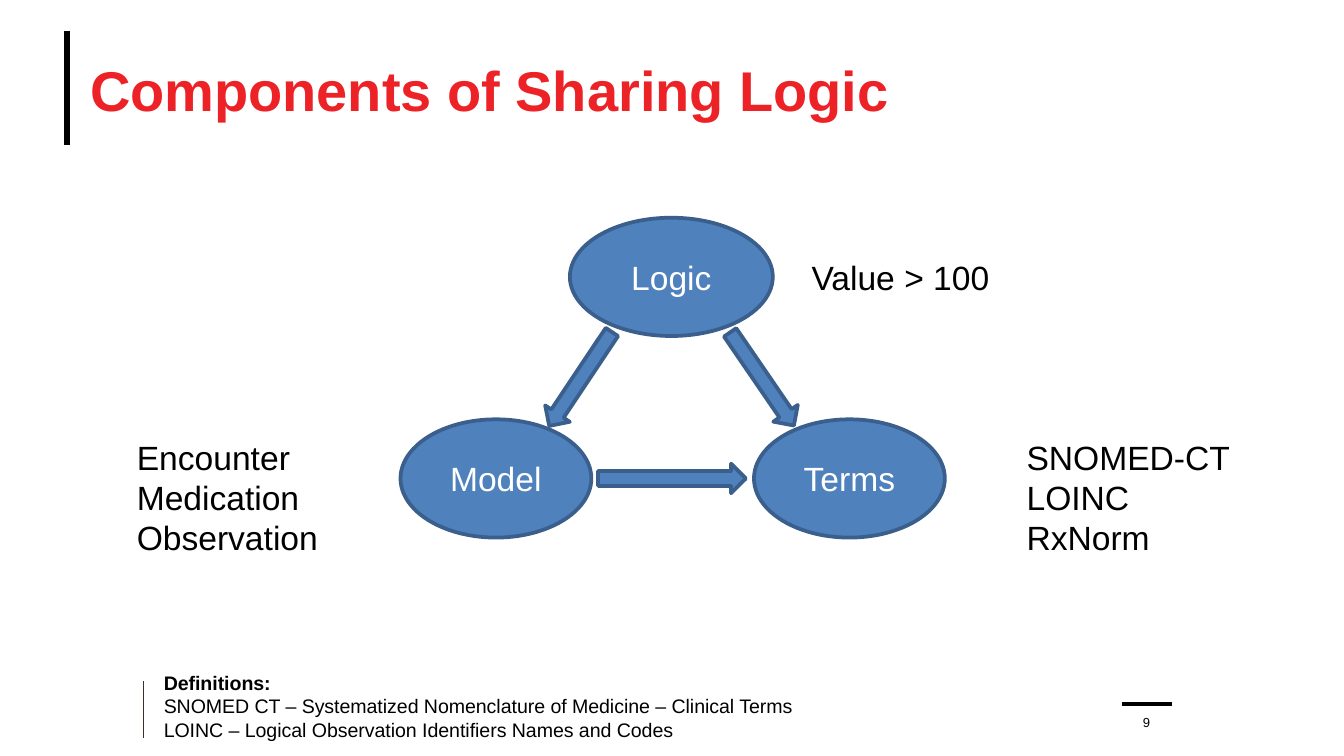
import pptx
import pptx.dml.color
import pptx.enum.shapes
import pptx.enum.text
import pptx.oxml.ns
import pptx.util
from lxml import etree
from pptx.util import Inches

FONT = "Arial"
BLACK, RED, WHITE = "000000", "EC2227", "FFFFFF"
BLUE, DARK_BLUE, BROWN = "4F81BD", "3A5F8C", "3D3029"
SHAPES = pptx.enum.shapes.MSO_SHAPE
ANCHOR = pptx.enum.text.MSO_ANCHOR
ALIGN = pptx.enum.text.PP_ALIGN


def color(value):
    return pptx.dml.color.RGBColor.from_string(value)


def write(shape, lines, size, font_color=BLACK, align=ALIGN.LEFT,
          anchor=ANCHOR.TOP, margin=None, wrap=True, bold_lines=0):
    """Fill a shape with paragraphs; the first bold_lines of them are bold."""
    frame = shape.text_frame
    frame.text = "\n".join(lines)
    frame.word_wrap = wrap
    frame.vertical_anchor = anchor
    if margin is not None:
        frame.margin_left = frame.margin_right = Inches(margin)
        frame.margin_top = frame.margin_bottom = Inches(margin)
    for index, paragraph in enumerate(frame.paragraphs):
        paragraph.alignment = align
        for run in paragraph.runs:
            run.font.name = FONT
            run.font.size = pptx.util.Pt(size)
            run.font.bold = index < bold_lines
            run.font.color.rgb = color(font_color)


def add_text(slide, box, lines, size, **options):
    shape = slide.shapes.add_textbox(*map(Inches, box))
    write(shape, lines, size, **options)


def add_rule(slide, start, end, line_color, width):
    rule = slide.shapes.add_connector(
        pptx.enum.shapes.MSO_CONNECTOR.STRAIGHT, *map(Inches, start + end))
    rule.line.color.rgb = color(line_color)
    rule.line.width = pptx.util.Pt(width)
    properties = rule._element.spPr
    etree.SubElement(properties, pptx.oxml.ns.qn("a:effectLst"))


def add_blue_shape(slide, kind, box, rotation=0):
    shape = slide.shapes.add_shape(kind, *map(Inches, box))
    shape.shadow.inherit = False
    shape.rotation = rotation
    shape.fill.solid()
    shape.fill.fore_color.rgb = color(BLUE)
    shape.line.color.rgb = color(DARK_BLUE)
    shape.line.width = pptx.util.Pt(2)
    return shape


def add_title(slide, left, top, width, height):
    add_rule(slide, (left, top), (left, top + height - 0.01), BLACK, 3.25)
    title = slide.shapes.title
    title.left, title.top = Inches(left + 0.17), Inches(top)
    title.width, title.height = Inches(width), Inches(height)
    write(title, ["Components of Sharing Logic"], 30, font_color=RED,
          anchor=ANCHOR.MIDDLE, margin=0, bold_lines=1)


def add_diagram(slide, left, top):
    """Triangle of ellipses joined by block arrows."""
    ellipses = [("Logic", 1.26, 0, 1.51),
                ("Model", 0, 1.5, 1.42),
                ("Terms", 2.63, 1.5, 1.42)]
    for label, x, y, width in ellipses:
        ellipse = add_blue_shape(slide, SHAPES.OVAL, (left + x, top + y, width, 0.88))
        write(ellipse, [label], 18, font_color=WHITE, align=ALIGN.CENTER,
              anchor=ANCHOR.MIDDLE)

    # Arrows: centre, length and rotation
    arrows = [(1.34, 1.2, 0.84, 33.7),
              (2.69, 1.2, 0.84, 325.6),
              (2.02, 1.94, 1.1, 270)]
    thickness = 0.22
    for x, y, length, rotation in arrows:
        box = (left + x - thickness / 2, top + y - length / 2, thickness, length)
        add_blue_shape(slide, SHAPES.DOWN_ARROW, box, rotation)


def add_examples(slide):
    examples = [((5.94, 1.86, 1.8, 0.4), ["Value > 100"]),
                ((7.54, 3.2, 1.73, 1.01), ["SNOMED-CT", "LOINC", "RxNorm"]),
                ((0.92, 3.2, 1.73, 1.01), ["Encounter", "Medication", "Observation"])]
    for box, lines in examples:
        add_text(slide, box, lines, 18)


def add_definitions(slide, left, top, width, height):
    add_rule(slide, (left - 0.05, top + 0.13), (left - 0.05, top + 0.55), BROWN, 0.75)
    lines = ["Definitions:",
             "SNOMED CT – Systematized Nomenclature of Medicine – Clinical Terms",
             "LOINC – Logical Observation Identifiers Names and Codes"]
    add_text(slide, (left, top, width, height), lines, 10.5, wrap=False, bold_lines=1)


def add_page_number(slide, left, top, width):
    add_rule(slide, (left, top), (left + width, top), BLACK, 2)
    add_text(slide, (left + 0.03, top + 0.02, 0.3, 0.17), ["9"], 7,
             align=ALIGN.CENTER, anchor=ANCHOR.BOTTOM, margin=0)


def main():
    presentation = pptx.Presentation()
    # Widescreen, 16 to 9
    presentation.slide_width = Inches(10)
    presentation.slide_height = Inches(10 * 9 / 16)
    slide = presentation.slides.add_slide(presentation.slide_layouts[5])
    add_title(slide, 0.5, 0.23, 9, 0.86)
    add_examples(slide)
    add_diagram(slide, 2.98, 1.62)
    add_definitions(slide, 1.12, 4.94, 4.99, 0.63)
    add_page_number(slide, 8.35, 5.24, 0.37)
    presentation.save("out.pptx")


if __name__ == "__main__":
    main()
